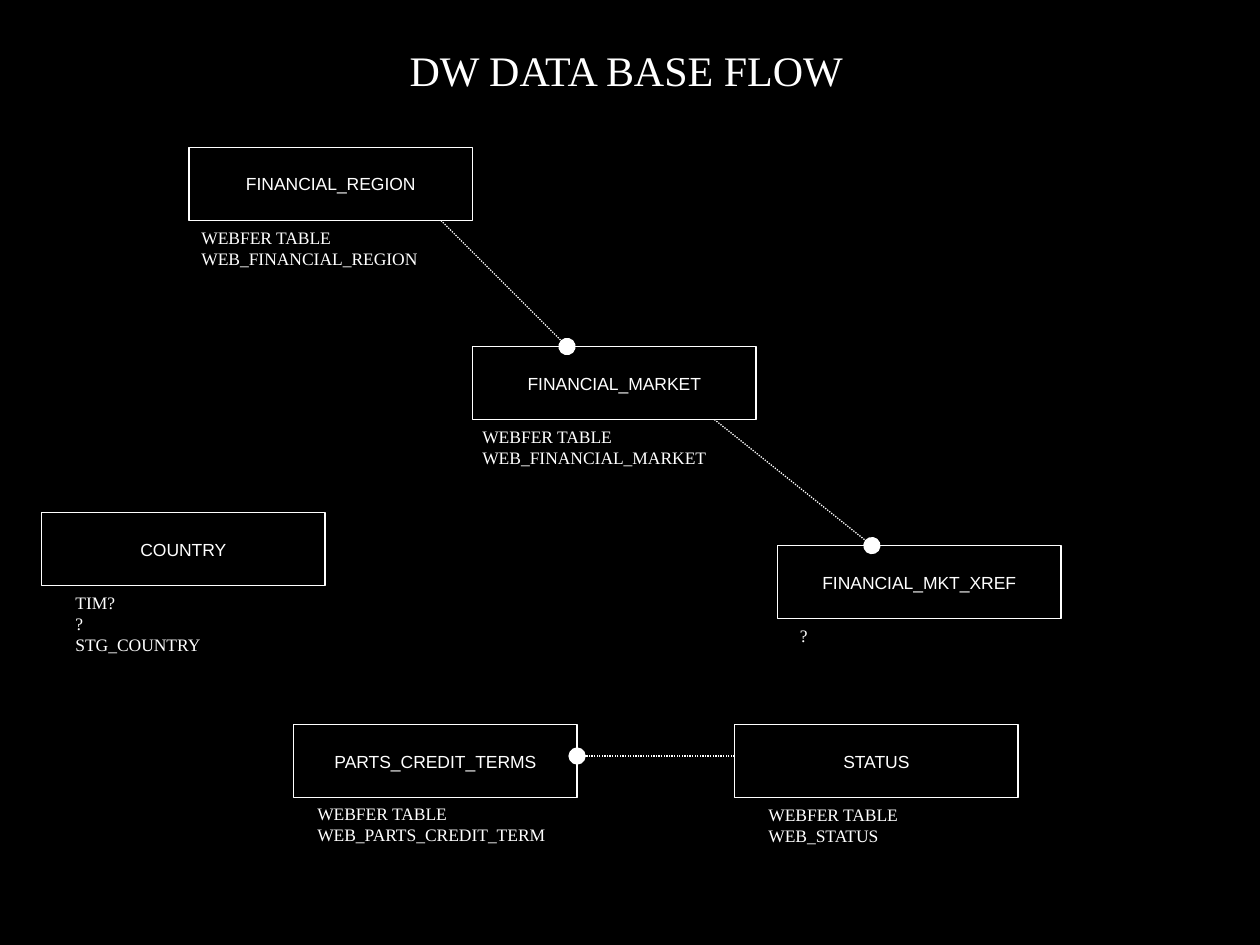
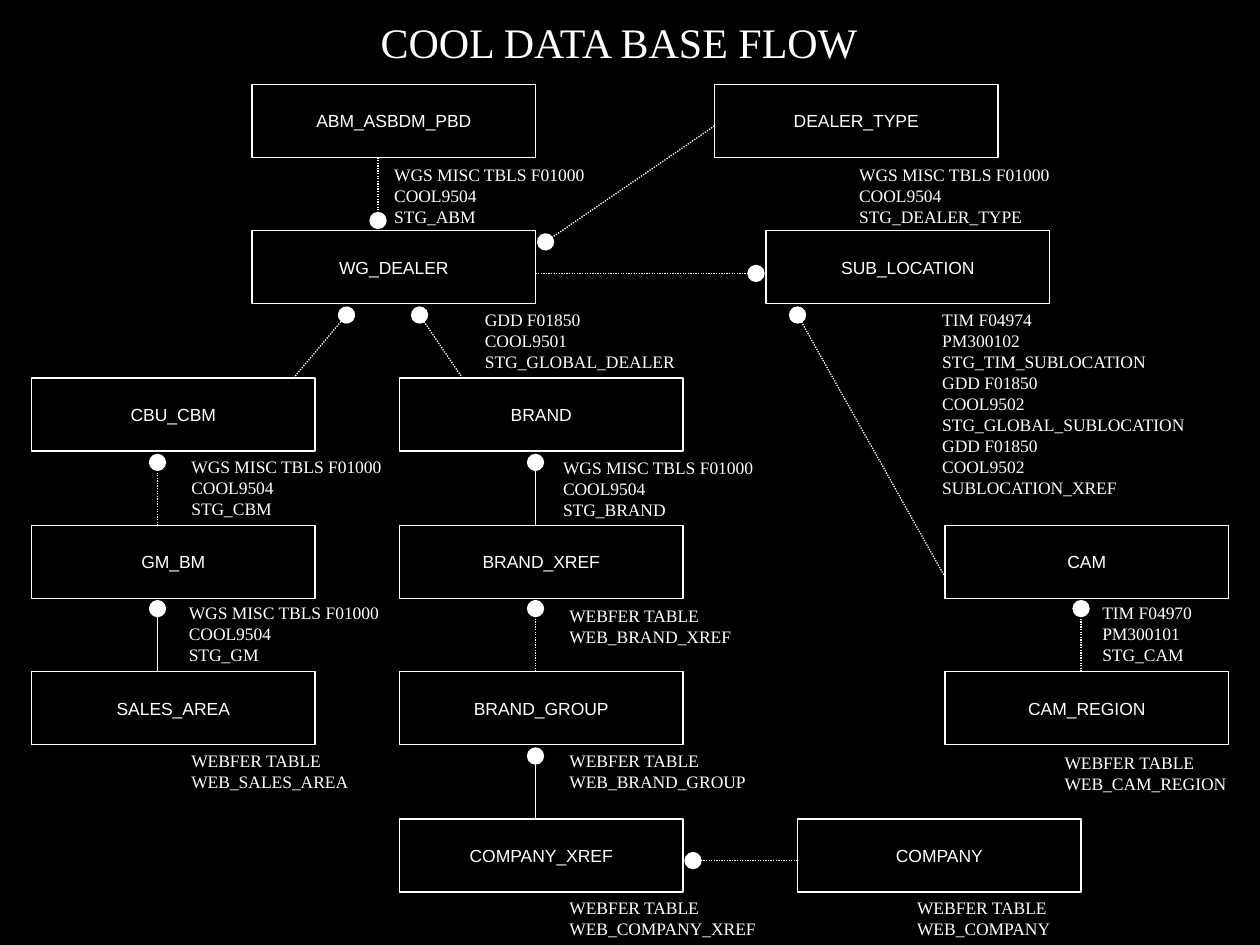
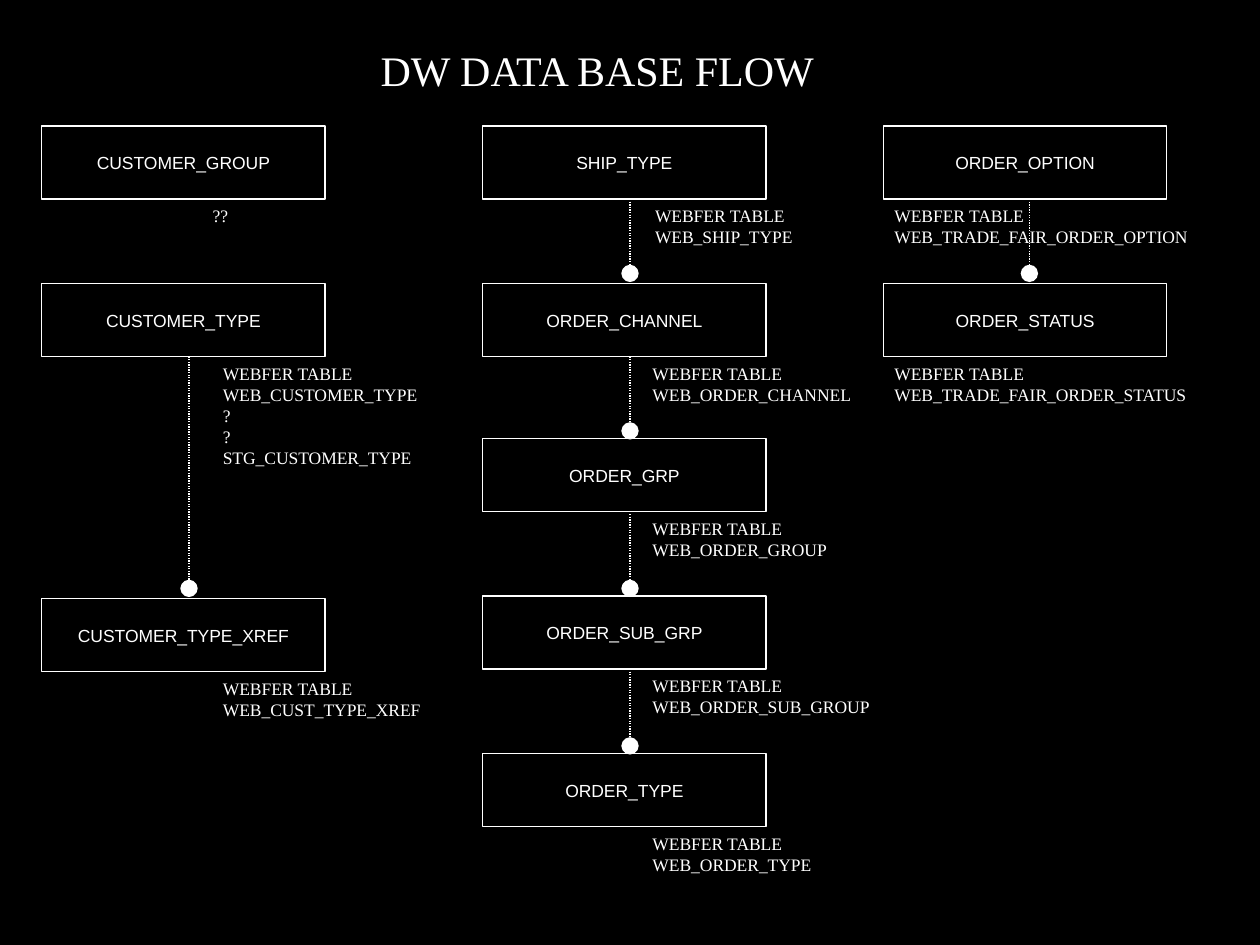
"""Build three data base flow diagrams as white outlines on black."""
from dataclasses import dataclass

from lxml import etree
from pptx import Presentation
from pptx import util as u
from pptx.dml.color import RGBColor
from pptx.enum import dml, shapes, text
from pptx.oxml.ns import qn


@dataclass(frozen=True)
class Theme:
    """Colours, fonts, type sizes and shared measures."""
    ground: RGBColor = RGBColor(0, 0, 0)
    ink: RGBColor = RGBColor(255, 255, 255)
    sans: str = "Arial"
    serif: str = "Times New Roman"
    head: float = 24
    body: float = 10
    pen: float = 0.75
    wide: float = 2.25
    high: float = 0.58


@dataclass(frozen=True)
class Node:
    """A table box with a note set dx and drop from its corner."""
    name: str
    x: float
    y: float
    dx: float
    width: float
    note: str
    drop: float = 0.58


T = Theme()
WGS = "WGS MISC TBLS F01000\nCOOL9504\n"
WEB = "WEBFER TABLE\nWEB_"


def place(*sizes):
    """Turn inches into lengths."""
    return [u.Inches(size) for size in sizes]


def write(frame, words, font, size, align=text.PP_ALIGN.LEFT):
    """Fill a frame with unwrapped lines in one style."""
    frame.text = words
    frame.word_wrap = False
    for para in frame.paragraphs:
        para.alignment = align
        for run in para.runs:
            run.font.name = font
            run.font.size = u.Pt(size)
            run.font.color.rgb = T.ink


def ink(line):
    """Give a line the shared pen."""
    line.color.rgb = T.ink
    line.width = u.Pt(T.pen)


def title(slide, words, x, y, width):
    """Move and format the title placeholder."""
    head = slide.shapes.title
    head.left, head.top, head.width, head.height = place(x, y, width, 0.51)
    write(head.text_frame, words, T.serif, T.head)
    head.text_frame.vertical_anchor = text.MSO_ANCHOR.TOP
    head.text_frame.auto_size = text.MSO_AUTO_SIZE.SHAPE_TO_FIT_TEXT


def table(slide, node):
    """Draw a table box and the note below it."""
    box = slide.shapes.add_shape(
        shapes.MSO_SHAPE.RECTANGLE, *place(node.x, node.y, T.wide, T.high))
    box.shadow.inherit = False
    box.fill.background()
    ink(box.line)
    write(box.text_frame, node.name, T.sans, T.body, text.PP_ALIGN.CENTER)
    box.text_frame.vertical_anchor = text.MSO_ANCHOR.MIDDLE
    rows = node.note.count("\n") + 1
    note = slide.shapes.add_textbox(*place(
        node.x + node.dx, node.y + node.drop, node.width, 0.1 + rows / 6))
    write(note.text_frame, node.note, T.serif, T.body)
    note.text_frame.auto_size = text.MSO_AUTO_SIZE.SHAPE_TO_FIT_TEXT


def link(slide, ends, solid=False):
    """Draw a line that ends in a large dot."""
    line = slide.shapes.add_connector(
        shapes.MSO_CONNECTOR.STRAIGHT, *place(*ends))
    ink(line.line)
    if not solid:
        line.line.dash_style = dml.MSO_LINE.ROUND_DOT
    props = line._element.spPr
    etree.SubElement(props.find(qn("a:ln")), qn("a:tailEnd"),
                     type="oval", w="lg", len="lg")
    etree.SubElement(props, qn("a:effectLst"))


def flow(deck, head, nodes, dotted, solid=()):
    """Add a slide with a title, its tables and their links."""
    slide = deck.slides.add_slide(deck.slide_layouts[5])
    title(slide, *head)
    for node in nodes:
        table(slide, node)
    for ends in dotted:
        link(slide, ends)
    for ends in solid:
        link(slide, ends, True)


def region(deck):
    """Add the financial region flow."""
    nodes = [
        Node("FINANCIAL_REGION", 1.5, 1.17, 0, 1.94, WEB + "FINANCIAL_REGION"),
        Node("FINANCIAL_MARKET", 3.75, 2.75, -0.02, 2, WEB + "FINANCIAL_MARKET"),
        Node("FINANCIAL_MKT_XREF", 6.17, 4.33, 0.08, 0.26, "?"),
        Node("COUNTRY", 0.33, 4.07, 0.17, 1.22, "TIM?\n?\nSTG_COUNTRY"),
        Node("PARTS_CREDIT_TERMS", 2.33, 5.75, 0.09, 2.06,
             WEB + "PARTS_CREDIT_TERM", 0.57),
        Node("STATUS", 5.83, 5.75, 0.17, 1.26, WEB + "STATUS"),
    ]
    dotted = [(3.5, 1.75, 4.5, 2.75), (5.67, 3.33, 6.92, 4.33),
              (5.83, 6, 4.58, 6)]
    flow(deck, ("DW DATA BASE FLOW", 3.15, 0.3, 3.77), nodes, dotted)


def dealer(deck):
    """Add the dealer flow."""
    rows = [0.67, 1.83, 3, 4.17, 5.33, 6.5]
    left, mid, right = 0.25, 3.17, 7.5
    nodes = [
        Node("ABM_ASBDM_PBD", 2, rows[0], 1.03, 1.72, WGS + "STG_ABM"),
        Node("DEALER_TYPE", 5.67, rows[0], 1.05, 1.72, WGS + "STG_DEALER_TYPE"),
        Node("WG_DEALER", 2, rows[1], 1.75, 1.73,
             "GDD F01850\nCOOL9501\nSTG_GLOBAL_DEALER", 0.57),
        Node("SUB_LOCATION", 6.08, rows[1], 1.3, 2.17,
             "TIM F04974\nPM300102\nSTG_TIM_SUBLOCATION\n"
             "GDD F01850\nCOOL9502\nSTG_GLOBAL_SUBLOCATION\n"
             "GDD F01850\nCOOL9502\nSUBLOCATION_XREF", 0.57),
        Node("CBU_CBM", left, rows[2], 1.17, 1.72, WGS + "STG_CBM", 0.57),
        Node("GM_BM", left, rows[3], 1.15, 1.72, WGS + "STG_GM", 0.56),
        Node("SALES_AREA", left, rows[4], 1.17, 1.46, WEB + "SALES_AREA", 0.57),
        Node("BRAND", mid, rows[2], 1.2, 1.72, WGS + "STG_BRAND"),
        Node("BRAND_XREF", mid, rows[3], 1.25, 1.5, WEB + "BRAND_XREF"),
        Node("BRAND_GROUP", mid, rows[4], 1.25, 1.62, WEB + "BRAND_GROUP", 0.57),
        Node("COMPANY_XREF", mid, rows[5], 1.25, 1.71,
             WEB + "COMPANY_XREF", 0.57),
        Node("COMPANY", 6.33, rows[5], 0.85, 1.28, WEB + "COMPANY", 0.57),
        Node("CAM", right, rows[3], 1.15, 0.92,
             "TIM F04970\nPM300101\nSTG_CAM", 0.56),
        Node("CAM_REGION", right, rows[4], 0.85, 1.51, WEB + "CAM_REGION", 0.59),
    ]

    def rise(x, row):
        """Give a link up from the top of a row."""
        return x, rows[row], x, rows[row] - 0.5

    dotted = [(3, 1.25, 3, 1.75), (5.67, 1, 4.33, 1.92),
              (4.25, 2.17, 6, 2.17), (3.67, 3, 3.33, 2.5),
              (2.33, 3, 2.75, 2.5), (7.5, 4.58, 6.33, 2.5),
              (6.33, 6.83, 5.5, 6.83),
              rise(1.25, 3), rise(4.25, 4), rise(8.58, 4)]
    solid = [rise(1.25, 4), rise(4.25, 3), rise(4.25, 5)]
    flow(deck, ("COOL DATA BASE FLOW", 2.92, 0.08, 4.12), nodes, dotted, solid)


def order(deck):
    """Add the customer and order flow."""
    rows = [1, 2.25, 3.48, 4.73, 5.98]
    left, mid, right = 0.33, 3.83, 7.01
    chain = [("SHIP_TYPE", 1.31, "SHIP_TYPE"),
             ("ORDER_CHANNEL", 1.8, "ORDER_CHANNEL"),
             ("ORDER_GRP", 1.6, "ORDER_GROUP"),
             ("ORDER_SUB_GRP", 1.95, "ORDER_SUB_GROUP"),
             ("ORDER_TYPE", 1.48, "ORDER_TYPE")]
    nodes = [
        Node("CUSTOMER_GROUP", left, rows[0], 1.26, 0.33, "??"),
        Node("CUSTOMER_TYPE", left, rows[1], 1.34, 1.77,
             WEB + "CUSTOMER_TYPE\n?\n?\nSTG_CUSTOMER_TYPE"),
        Node("CUSTOMER_TYPE_XREF", left, 4.75, 1.34, 1.79,
             WEB + "CUST_TYPE_XREF"),
        Node("ORDER_OPTION", right, rows[0], -0.01, 2.57,
             WEB + "TRADE_FAIR_ORDER_OPTION"),
        Node("ORDER_STATUS", right, rows[1], -0.01, 2.59,
             WEB + "TRADE_FAIR_ORDER_STATUS"),
    ]
    nodes += [Node(name, mid, y, 1.27 if y == rows[0] else 1.25, width, WEB + note)
              for y, (name, width, note) in zip(rows, chain)]
    dotted = [(1.5, 2.83, 1.5, 4.67), (8.17, 1.58, 8.17, 2.17)]
    dotted += [(5, 1.58 + 1.25 * i, 5, 2.17 + 1.25 * i) for i in range(4)]
    flow(deck, ("DW DATA BASE FLOW", 2.92, 0.3, 3.77), nodes, dotted)


def main():
    """Build and save the deck."""
    deck = Presentation()
    deck.slide_width, deck.slide_height = place(10, 7.5)
    fill = deck.slide_master.background.fill
    fill.solid()
    fill.fore_color.rgb = T.ground
    for build in (region, dealer, order):
        build(deck)
    deck.save("out.pptx")


if __name__ == "__main__":
    main()
